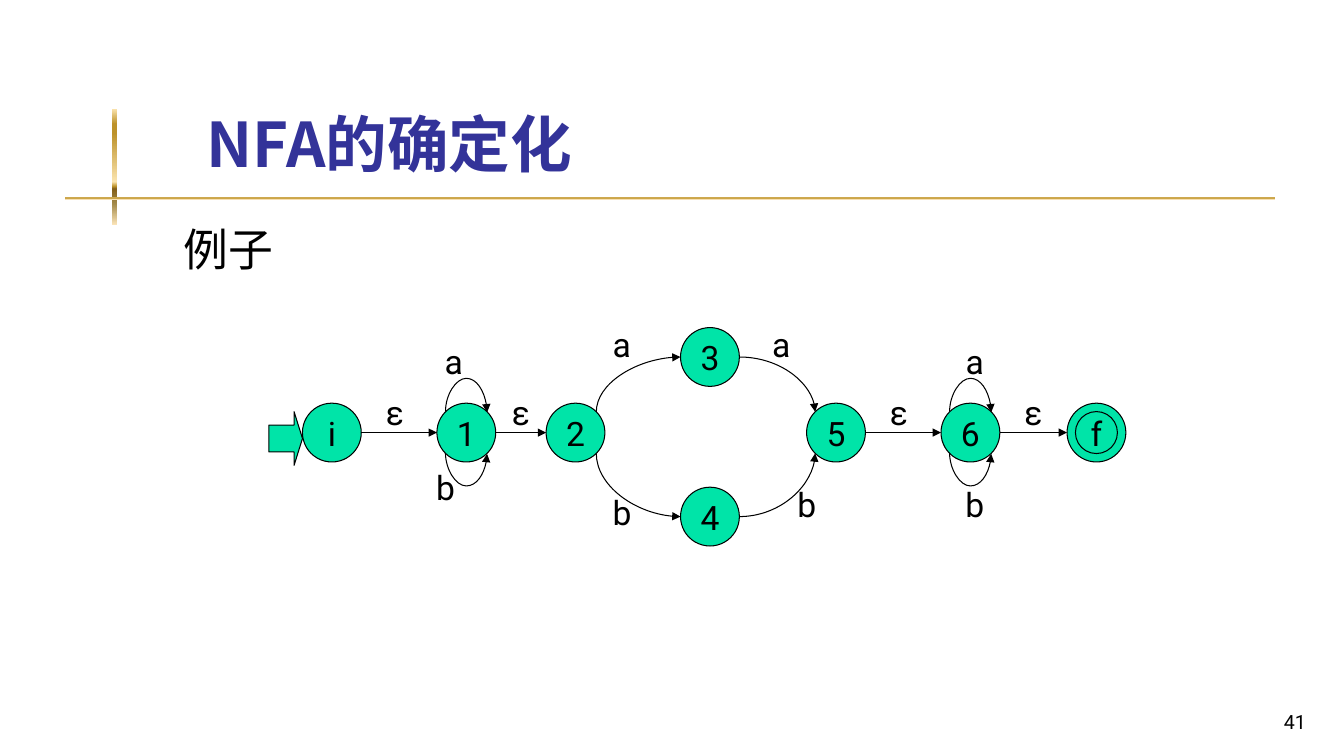
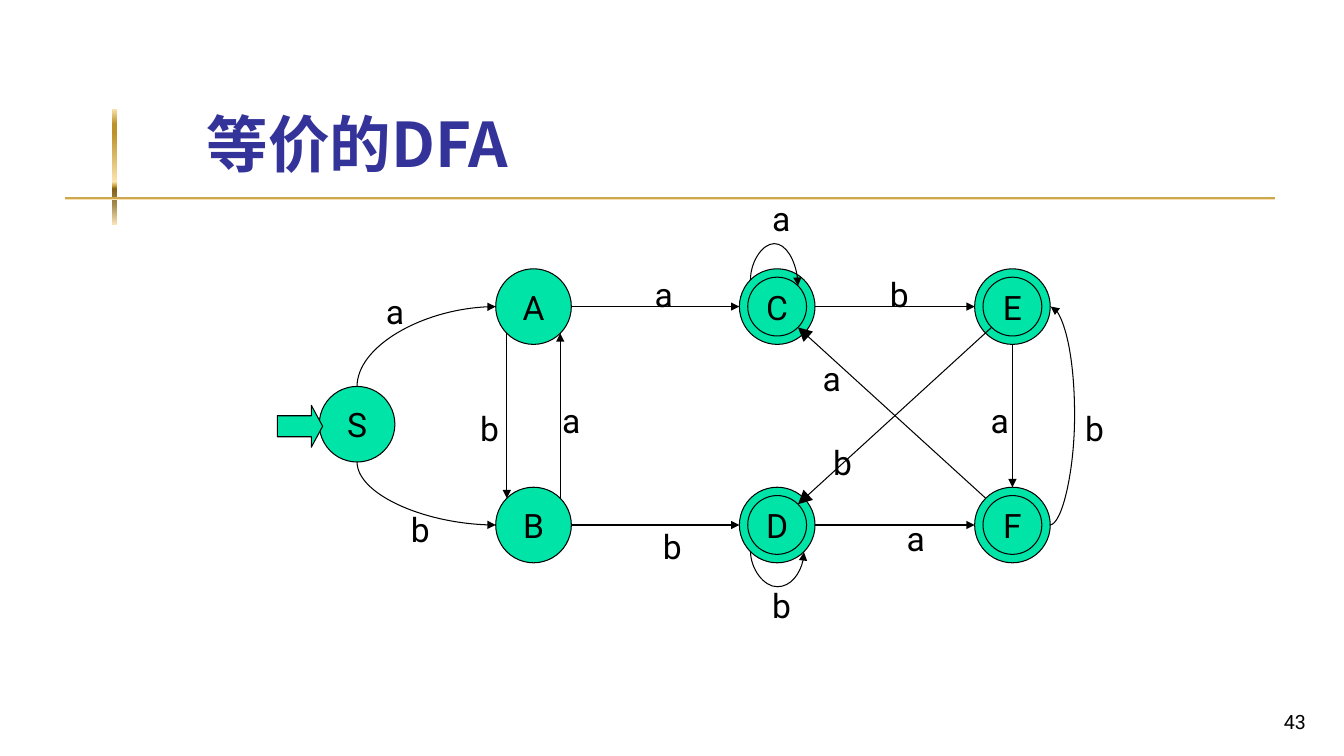
from math import cos, radians, sin

from lxml.etree import SubElement
from pptx import Presentation
from pptx.dml.color import RGBColor
from pptx.enum.shapes import MSO_CONNECTOR, MSO_SHAPE
from pptx.enum.text import MSO_ANCHOR, PP_ALIGN
from pptx.oxml.ns import qn
from pptx.util import Inches, Pt

COLORS = {"title": "333399", "ink": "000000", "node": "00E4A8"}
GOLD = [(0, "FBE4AE"), (13, "BD922A"), (21, "BD922A"), (63, "FBE4AE"),
        (67, "BD922A"), (69, "835E17"), (82, "A28949"), (100, "FAE3B7")]
BARS = [(1.11, 1.08, 0.05, 1.15), (0.65, 1.95, 12, 0.03)]
HAN, LATIN = "Noto Sans CJK JP", "Roboto"
UNIT = 1 / 12  # diagrams are laid out on a grid of twelfths of an inch

# Sites on a circle, counted anticlockwise from the top in steps of 45 degrees
TOP, NW, WEST, SW, LOW, SE, EAST, NE = range(8)
LINE, TURN = "line", "turn"  # a number instead is the height of a loop

# nodes: name, column, row; "*" after a name in an edge means its inner ring
# edges: from, site, to, site, form, label, label column, label row
SLIDES = [
    {
        "title": "NFA的确定化", "body": "例子", "page": "41", "size": 7,
        "entry": (32, 49, 4, 6.4, 0.25),
        "nodes": [("i", 36, 48), ("1", 52, 48), ("2", 65, 48), ("3", 81, 39),
                  ("4", 81, 58), ("5", 96, 48), ("6", 112, 48), ("f", 127, 48)],
        "final": "f",
        "edges": [
            ("i", EAST, "1", WEST, LINE, "ε", 47, 49),
            ("1", NW, "1", NE, 4, "a", 54, 43),
            ("1", SW, "1", SE, 4, "b", 53, 58),
            ("1", EAST, "2", WEST, LINE, "ε", 62, 49),
            ("2", NE, "3", WEST, TURN, "a", 74, 41),
            ("2", SE, "4", WEST, TURN, "b", 74, 61),
            ("3", EAST, "5", NW, TURN, "a", 93, 41),
            ("4", EAST, "5", SW, TURN, "b", 96, 60),
            ("5", EAST, "6", WEST, LINE, "ε", 107, 49),
            ("6", NW, "6", NE, 4, "a", 116, 43),
            ("6", SW, "6", SE, 4, "b", 116, 60),
            ("6", EAST, "f", WEST, LINE, "ε", 123, 49),
        ],
    },
    {
        "title": "等价的DFA", "body": "", "page": "43", "size": 9,
        "entry": (33, 48.25, 5.4, 5, 0.27),
        "nodes": [("S", 38, 46), ("A", 59, 32), ("B", 59, 58), ("C", 88, 32),
                  ("D", 88, 58), ("E", 116, 32), ("F", 116, 58)],
        "final": "CDEF",
        "edges": [
            ("S", TOP, "A", WEST, TURN, "a", 47, 37),
            ("S", LOW, "B", WEST, TURN, "b", 50, 63),
            ("A", SW, "B", NW, LINE, "b", 58.25, 51),
            ("B", NE, "A", SE, LINE, "a", 68, 50),
            ("A", EAST, "C", WEST, LINE, "a", 79, 35),
            ("B", EAST, "D", WEST, LINE, "b", 80, 65),
            ("C", NW, "C*", NE, 4.3, "a", 93, 26),
            ("D", SW, "D", SE, 4.3, "b", 93, 72),
            ("C", EAST, "E", WEST, LINE, "b", 107, 35),
            ("D", EAST, "F", WEST, LINE, "a", 109, 64),
            ("E", LOW, "F", TOP, LINE, "a", 119, 50),
            ("F", EAST, "E", EAST, 3, "b", 130.25, 51),
            ("F", NW, "C*", SE, LINE, "a", 99, 45),
            ("E*", SW, "D*", NE, LINE, "b", 100.25, 55),
        ],
    },
]


def rgb(name):
    return RGBColor.from_string(COLORS[name])


def write(shape, text, size, font=LATIN, color="ink", bold=False,
          align=PP_ALIGN.CENTER, anchor=MSO_ANCHOR.MIDDLE, wrap=False):
    frame = shape.text_frame
    frame.text = text
    frame.word_wrap = wrap
    frame.vertical_anchor = anchor
    para = frame.paragraphs[0]
    para.alignment = align
    run = para.runs[0]
    run.font.size, run.font.bold, run.font.name = Pt(size), bold, font
    run.font.color.rgb = rgb(color)
    SubElement(run.font._element, qn("a:ea"), typeface=font)
    return frame


def box(slide, *rect):
    return slide.shapes.add_textbox(*map(Inches, rect))


def preset(slide, kind, rect):
    shape = slide.shapes.add_shape(kind, *(Inches(v) for v in rect))
    shape.shadow.inherit = False
    return shape


def solid(slide, kind, *cells):
    """Green outlined shape placed in grid units."""
    shape = preset(slide, kind, [c * UNIT for c in cells])
    shape.fill.solid()
    shape.fill.fore_color.rgb = rgb("node")
    shape.line.color.rgb = rgb("ink")
    shape.line.width = Pt(0.75)
    return shape


def frame(slide, spec):
    """Gold rules, title, body line and page number."""
    for rect in BARS:
        bar = preset(slide, MSO_SHAPE.RECTANGLE, rect)
        bar.line.fill.background()
        bar.fill.gradient()
        bar.fill.gradient_angle = 270
        stops = next(bar._element.iter(qn("a:gsLst")))
        stops.clear()
        for pos, color in GOLD:
            stop = SubElement(stops, qn("a:gs"), pos=str(pos * 1000))
            SubElement(stop, qn("a:srgbClr"), val=color)
    title = write(box(slide, 1.68, 0.23, 11.36, 1.6), spec["title"], 44, HAN,
                  "title", True, PP_ALIGN.LEFT, MSO_ANCHOR.BOTTOM, True)
    title.margin_left = Inches(0.37)
    if spec["body"]:
        body = write(box(slide, 1.72, 2.21, 11.33, 4.5), spec["body"], 32, HAN,
                     align=PP_ALIGN.LEFT, anchor=MSO_ANCHOR.TOP, wrap=True)
        body.paragraphs[0].line_spacing = 0.9
    write(box(slide, 10.27, 6.83, 2.78, 0.5), spec["page"], 14,
          align=PP_ALIGN.RIGHT, anchor=MSO_ANCHOR.BOTTOM, wrap=True)


def circle(slide, text, *cells):
    ring = solid(slide, MSO_SHAPE.OVAL, *cells)
    if text:
        area = write(ring, text, 24)
        area.margin_left = area.margin_right = 0
        area.margin_top = area.margin_bottom = 0
    return ring


def draw_nodes(slide, spec):
    """Draw the states and return their rings by name."""
    rings, size = {}, spec["size"]
    for name, col, row in spec["nodes"]:
        final = name in spec["final"]
        rings[name] = circle(slide, "" if final else name, col, row, size, size)
        if final:
            rings[name + "*"] = circle(slide, name, col + 1, row + 1,
                                       size - 2, size - 2)
    return rings


def site(ring, num):
    turn, half = radians(45 * num), ring.width / 2
    return (ring.left + half - half * sin(turn),
            ring.top + half - half * cos(turn))


def bend(link, start, end, out, form):
    """Turn a connector into a quarter curve or a loop leaving at a site."""
    (x1, y1), (x2, y2) = start, end
    tall = out != EAST
    wide, high = abs(x2 - x1), abs(y2 - y1)
    if tall:
        wide, high = high, wide
    wide = max(wide, Inches(0.01))
    link.left, link.top = int((x1 + x2 - wide) / 2), int((y1 + y2 - high) / 2)
    link.width, link.height = int(wide), int(high)
    up = out in (NW, NE, TOP)
    loop = form != TURN
    xfrm = next(link._element.iter(qn("a:xfrm")))
    for flip in ("flipH", "flipV"):
        xfrm.attrib.pop(flip, None)
    if tall:
        xfrm.set("rot", str((90 if loop and up else 270) * 60000))
        if not up:
            xfrm.set("flipH", "1")
        elif loop:
            xfrm.set("flipV", "1")
    elif y2 < y1:
        xfrm.set("flipV", "1")
    geom = next(link._element.iter(qn("a:prstGeom")))
    geom.set("prst", "curvedConnector3" if loop else "curvedConnector2")
    if loop:
        ratio = Inches(form * UNIT) / wide * (-1 if tall and up else 1)
        if not tall:
            ratio = Inches(form * UNIT) / wide
        guides = next(geom.iter(qn("a:avLst")))
        SubElement(guides, qn("a:gd"), name="adj1",
                   fmla=f"val {round(ratio * 100000)}")


def draw_edge(slide, rings, edge):
    src, out, dst, into, form, text, col, row = edge
    start, end = site(rings[src], out), site(rings[dst], into)
    kind = MSO_CONNECTOR.STRAIGHT if form == LINE else MSO_CONNECTOR.CURVE
    link = slide.shapes.add_connector(kind, *(int(v) for v in start + end))
    if form != LINE:
        bend(link, start, end, out, form)
    link.line.color.rgb = rgb("ink")
    link.line.width = Pt(0.75)
    slant = form == LINE and "*" in dst
    size = "lg" if slant else "med"
    SubElement(link.line._get_or_add_ln(), qn("a:tailEnd"),
               type="triangle", w=size, len=size)
    SubElement(link._element.spPr, qn("a:effectLst"))
    if not slant:
        glue = next(link._element.iter(qn("p:cNvCxnSpPr")))
        for tag, name, num in (("a:stCxn", src, out), ("a:endCxn", dst, into)):
            SubElement(glue, qn(tag), id=str(rings[name].shape_id), idx=str(num))
    write(box(slide, col * UNIT - 0.19, row * UNIT - 0.25, 0.38, 0.5), text, 24)


def main():
    deck = Presentation()
    deck.slide_width, deck.slide_height = Inches(13.33), Inches(7.5)
    for spec in SLIDES:
        slide = deck.slides.add_slide(deck.slide_layouts[6])
        frame(slide, spec)
        rings = draw_nodes(slide, spec)
        for edge in spec["edges"]:
            draw_edge(slide, rings, edge)
        *cells, head = spec["entry"]
        arrow = solid(slide, MSO_SHAPE.RIGHT_ARROW, *cells)
        arrow.adjustments[0], arrow.adjustments[1] = 0.5, head


    deck.save("out.pptx")


if __name__ == "__main__":
    main()
